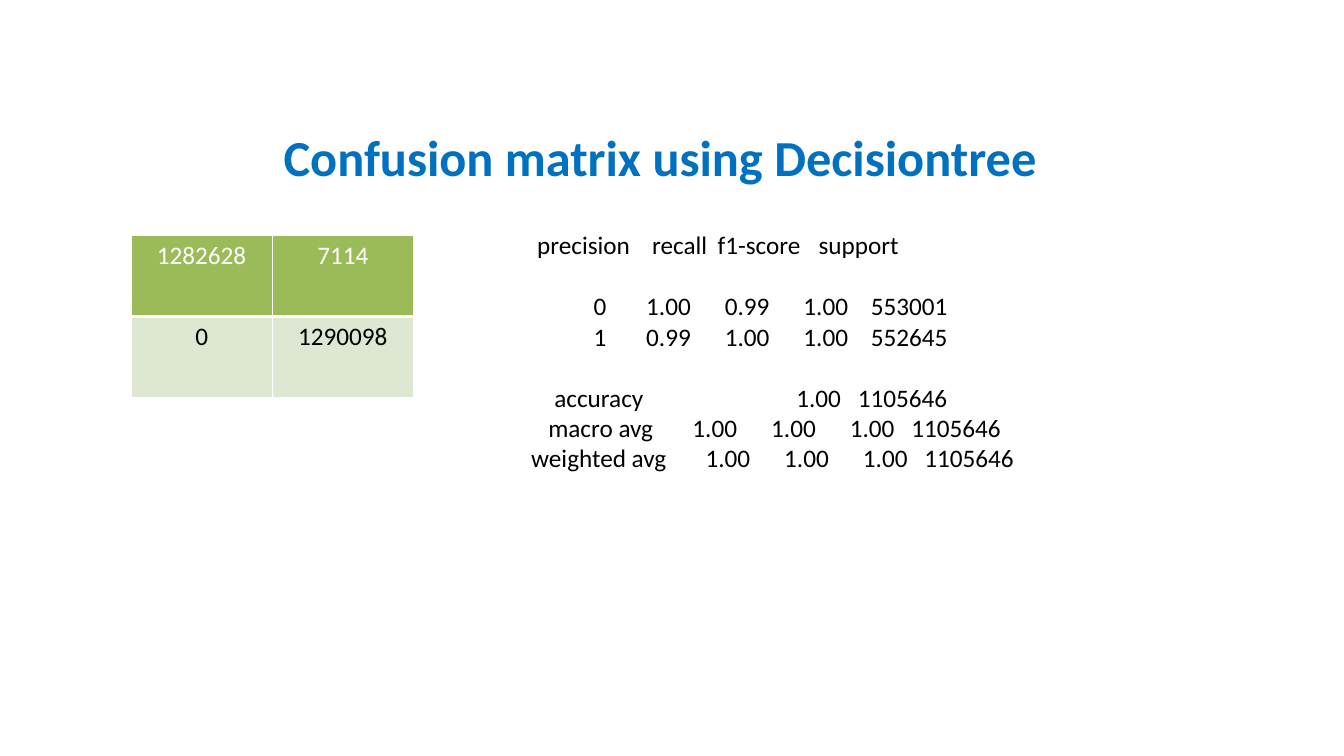
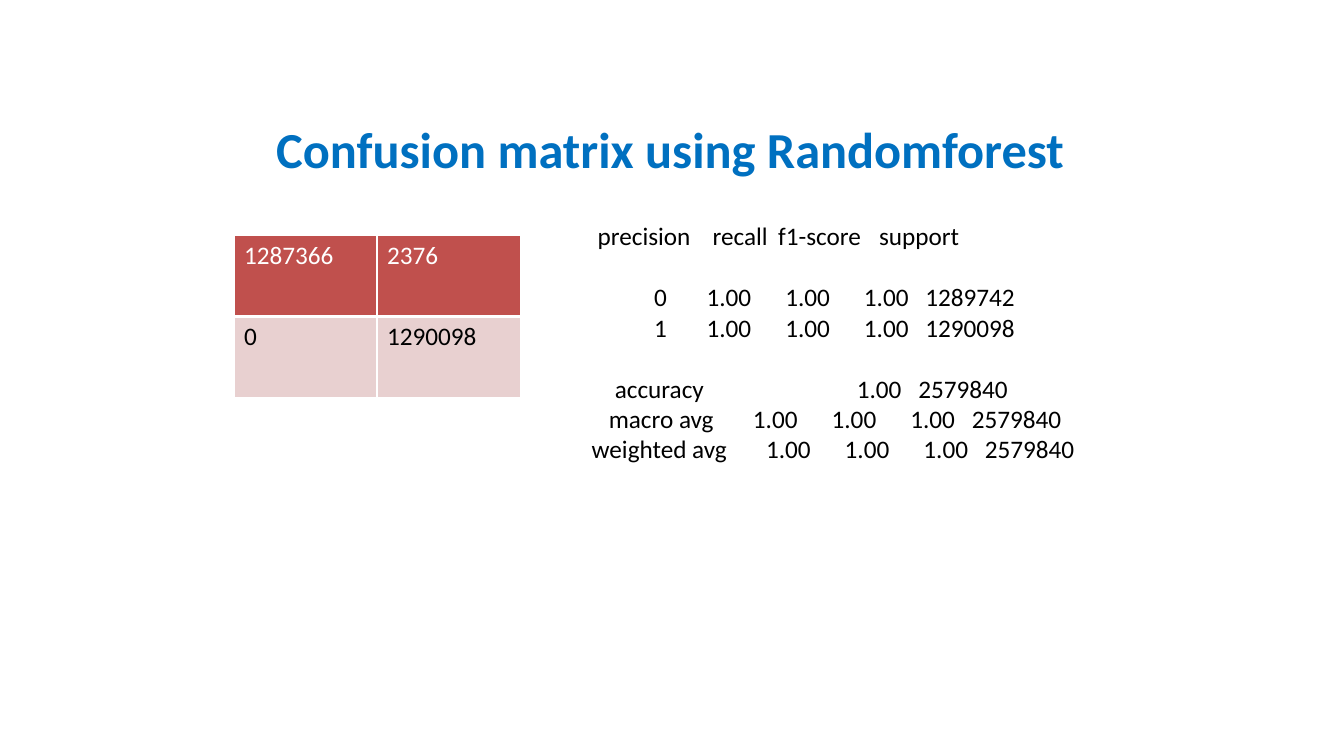
from pptx import Presentation
from pptx.dml.color import RGBColor
from pptx.enum.text import MSO_ANCHOR, MSO_AUTO_SIZE, PP_ALIGN
from pptx.oxml import parse_xml
from pptx.oxml.ns import nsdecls
from pptx.util import Inches, Pt

HEADER_STOPS = (0.06, 1.2, 1.85, 2.85)
SCORE_OFFSETS = (0, 0.78, 1.56)
SUPPORT_OFFSET = 2.17


def color(value):
    return RGBColor.from_string(value)


def write(para, text, font="Calibri", size=18, ink="000000", bold=False, align=None):
    para.alignment = align
    span = para.add_run()
    span.text = text
    span.font.name = font
    span.font.size = Pt(size)
    span.font.bold = bold
    span.font.color.rgb = color(ink)


class Slides:
    title_ink = "0070C0"
    paper = "FFFFFF"
    ink = "000000"
    line_gap = 22

    def __init__(self):
        self.deck = Presentation()
        self.deck.slide_width = Inches(13.33)
        self.deck.slide_height = Inches(7.5)
        self.page = None

    def add_page(self, title, top, left, height):
        self.page = self.deck.slides.add_slide(self.deck.slide_layouts[5])
        box = self.page.shapes.title
        box.left, box.top = Inches(left), Inches(top)
        box.width, box.height = Inches(12), Inches(height)
        box.text_frame.vertical_anchor = MSO_ANCHOR.MIDDLE
        write(box.text_frame.paragraphs[0], title, size=36, ink=self.title_ink,
              bold=True, align=PP_ALIGN.CENTER)

    def border(self, cell, bottom):
        properties = cell._tc.get_or_add_tcPr()
        for index, side in enumerate(("lnL", "lnR", "lnT", "lnB")):
            width = Pt(bottom if side == "lnB" else 1)
            properties.insert(index, parse_xml(
                f'<a:{side} {nsdecls("a")} w="{width}"><a:solidFill>'
                f'<a:srgbClr val="{self.paper}"/></a:solidFill></a:{side}>'))

    def matrix(self, rows, left, column_width, fills, align):
        table = self.page.shapes.add_table(
            2, 2, Inches(left), Inches(2.34), Inches(2 * column_width), Inches(1.6)).table
        for column in table.columns:
            column.width = Inches(column_width)
        styles = zip(rows, fills, (self.paper, self.ink), (3, 1))
        for row, (values, fill, ink, bottom) in enumerate(styles):
            for column, value in enumerate(values):
                cell = table.cell(row, column)
                cell.fill.solid()
                cell.fill.fore_color.rgb = color(fill)
                self.border(cell, bottom)
                write(cell.text_frame.paragraphs[0], value, ink=ink, align=align)

    def report_line(self, para, cells, stops, gap=0):
        tabs = "".join(f'<a:tab pos="{Inches(stop)}" algn="l"/>' for stop in stops if stop)
        para.space_before = Pt(gap)
        para._p.get_or_add_pPr().append(
            parse_xml(f'<a:tabLst {nsdecls("a")}>{tabs}</a:tabLst>'))
        lead = "\t" if stops[0] else ""
        write(para, lead + "\t".join(cells), ink=self.ink)

    def report(self, left, top, width, classes, total, class_support):
        box = self.page.shapes.add_textbox(
            Inches(left), Inches(top), Inches(width), Inches(2.52))
        frame = box.text_frame
        frame.word_wrap = True
        frame.auto_size = MSO_AUTO_SIZE.SHAPE_TO_FIT_TEXT
        self.report_line(frame.paragraphs[0],
                         ("precision", "recall", "f1-score", "support"), HEADER_STOPS)
        perfect = ("1.00", "1.00", "1.00", total)
        first_class, second_class = classes
        lines = (
            (("0", *first_class), 0.62, 1.14, class_support, self.line_gap),
            (("1", *second_class), 0.62, 1.14, class_support, 0),
            (("accuracy", "1.00", total), 0.23, 1.07, SUPPORT_OFFSET, self.line_gap),
            (("macro avg", *perfect), 0.17, 1.6, SUPPORT_OFFSET, 0),
            (("weighted avg", *perfect), 0, 1.73, SUPPORT_OFFSET, 0),
        )
        for cells, indent, first, support, gap in lines:
            offsets = (*SCORE_OFFSETS, support)[1 - len(cells):]
            stops = [indent] + [first + offset for offset in offsets]
            self.report_line(frame.add_paragraph(), cells, stops, gap)


def main():
    slides = Slides()

    slides.add_page("Confusion matrix using Decisiontree", left=0.55, top=0.97, height=1.16)
    slides.matrix((("1282628", "7114"), ("0", "1290098")), left=1.3, column_width=1.4,
                  fills=("9BBB59", "DEE7D1"), align=PP_ALIGN.CENTER)
    slides.report(left=5.17, top=2.23, width=6.46, total="1105646", class_support=2.23,
                  classes=(("1.00", "0.99", "1.00", "553001"),
                           ("0.99", "1.00", "1.00", "552645")))

    slides.add_page("Confusion matrix using Randomforest", left=0.65, top=1.04, height=0.87)
    slides.matrix((("1287366", "2376"), ("0", "1290098")), left=2.32, column_width=1.42,
                  fills=("C0504D", "E8D0D0"), align=PP_ALIGN.LEFT)
    slides.report(left=5.77, top=2.14, width=6.66, total="2579840",
                  class_support=SUPPORT_OFFSET,
                  classes=(("1.00", "1.00", "1.00", "1289742"),
                           ("1.00", "1.00", "1.00", "1290098")))

    slides.deck.save("out.pptx")


if __name__ == "__main__":
    main()
